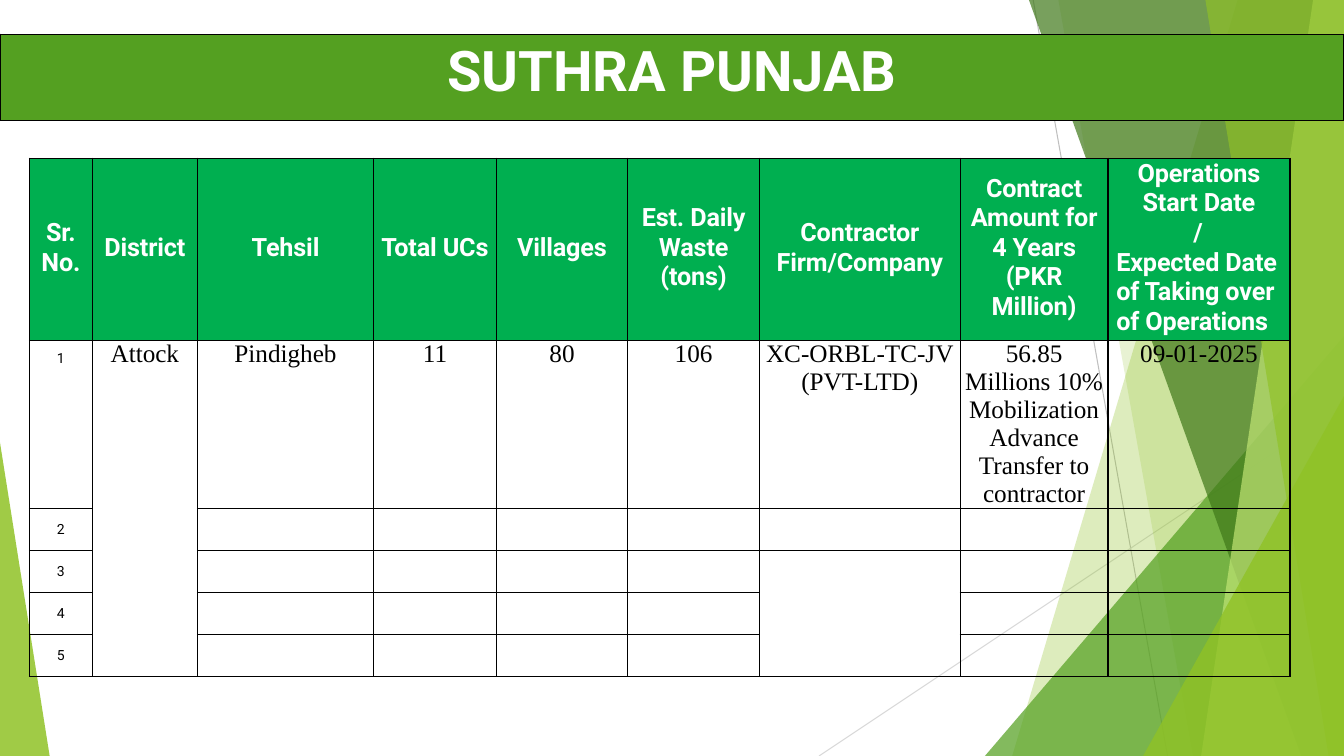
from lxml.etree import SubElement
from pptx import Presentation
from pptx.dml.color import RGBColor
from pptx.enum.shapes import MSO_CONNECTOR, MSO_SHAPE
from pptx.enum.text import MSO_ANCHOR, PP_ALIGN
from pptx.oxml import parse_xml
from pptx.oxml.ns import nsdecls, qn
from pptx.util import Pt

COLORS = {
    "white": "FFFFFF", "black": "000000", "header": "00AF50",
    "band": "54A021", "lime": "90C226", "forest": "3F7819",
    "pale": "C0E474", "line": "BFBFBF", "faint": "D9D9D9",
}
WIDTH, HEIGHT = 960, 540
TITLE = "SUTHRA PUNJAB"
TITLE_TOP, TITLE_HEIGHT = 24.5, 61.5

HEADERS = [
    ["Sr.", "No."], ["District"], ["Tehsil"], ["Total UCs"], ["Villages"],
    ["Est. Daily Waste (tons)"], ["Contractor Firm/Company"],
    ["Contract Amount for 4 Years (PKR", "Million)"],
    ["Operations Start Date", "/ Expected Date of Taking over of Operations"],
]
FIRST_RECORD = [
    ["Attock"], ["Pindigheb"], ["11"], ["80"], ["106"],
    ["XC-ORBL-TC-JV", "(PVT-LTD)"],
    ["56.85 Millions 10% Mobilization Advance Transfer to contractor"],
    ["09-01-2025"],
]
RECORD_COUNT = 5
TABLE_LEFT, TABLE_TOP = 21, 113
COLUMN_WIDTHS = [45, 75, 126, 87.5, 94, 94, 143.5, 105.5, 130]
ROW_HEIGHTS = [130, 120] + [30] * (RECORD_COUNT - 1)
MERGES = [((1, 1), (5, 1)), ((3, 6), (5, 6))]

RAYS = [((738, 0), (834, HEIGHT), "line"), ((WIDTH, 290), (585, HEIGHT), "faint")]
FACETS = [
    ("wedge", (884, 723), "lime", 30),
    ("wedge", (756, 852), "lime", 20),
    ("triangle", (703.5, 240, WIDTH, 1), "band", 72),
    ("wedge", (735, 929.5), "forest", 70),
    ("wedge", (938, 858), "pale", 70),
    ("wedge", (861, 949), "lime", 65),
    ("triangle", (816.5, 283, WIDTH, 1), "lime", 80),
    ("triangle", (0, 316, 35.5, 0), "lime", 85),
]


def color(name):
    return RGBColor.from_string(COLORS[name])


def add_ray(slide, start, end, color_name):
    ray = slide.shapes.add_connector(
        MSO_CONNECTOR.STRAIGHT, *(Pt(value) for value in start + end))
    ray.line.color.rgb = color(color_name)
    ray.line.width = Pt(0.75)
    SubElement(ray.element.spPr, qn("a:effectLst"))


def add_facet(slide, kind, geometry, color_name, opacity):
    if kind == "wedge":
        top_x, bottom_x = geometry
        builder = slide.shapes.build_freeform(Pt(top_x), 0)
        corners = [(WIDTH, 0), (WIDTH, HEIGHT), (bottom_x, HEIGHT)]
        builder.add_line_segments([(Pt(x), Pt(y)) for x, y in corners])
        shape = builder.convert_to_shape()
    else:
        left, top, right, apex = geometry
        shape = slide.shapes.add_shape(
            MSO_SHAPE.ISOSCELES_TRIANGLE, Pt(left), Pt(top),
            Pt(right - left), Pt(HEIGHT - top))
        shape.adjustments[0] = apex
    shape.shadow.inherit = False
    shape.line.fill.background()
    shape.fill.solid()
    shape.fill.fore_color.rgb = color(color_name)
    fill_color = shape.element.spPr.find(qn("a:solidFill"))[0]
    SubElement(fill_color, qn("a:alpha"), val=str(opacity * 1000))


def write(text_frame, lines, font_name, size, color_name, bold=False, spacing=0):
    for index, line in enumerate(lines):
        paragraph = text_frame.paragraphs[0] if index == 0 else text_frame.add_paragraph()
        paragraph.alignment = PP_ALIGN.CENTER
        run = paragraph.add_run()
        run.text = line
        run.font.name = font_name
        run.font.size = Pt(size)
        run.font.bold = bold
        run.font.color.rgb = color(color_name)
        if spacing:
            run._r.get_or_add_rPr().set("spc", str(spacing))


def add_table(slide, left, top, column_widths, row_heights):
    table = slide.shapes.add_table(
        len(row_heights), len(column_widths), Pt(left), Pt(top),
        Pt(sum(column_widths)), Pt(sum(row_heights))).table
    table.first_row = table.horz_banding = False
    for column, width in zip(table.columns, column_widths):
        column.width = Pt(width)
    for row, height in zip(table.rows, row_heights):
        row.height = Pt(height)
    return table


def format_cell(cell, fill_name=None):
    if fill_name:
        cell.fill.solid()
        cell.fill.fore_color.rgb = color(fill_name)
    else:
        cell.fill.background()
    properties = cell._tc.get_or_add_tcPr()
    for position, side in enumerate(("lnL", "lnR", "lnT", "lnB")):
        properties.insert(position, parse_xml(
            f'<a:{side} {nsdecls("a")} w="{Pt(1)}"><a:solidFill>'
            f'<a:srgbClr val="{COLORS["black"]}"/></a:solidFill></a:{side}>'))


def add_contract_table(slide):
    table = add_table(slide, TABLE_LEFT, TABLE_TOP, COLUMN_WIDTHS, ROW_HEIGHTS)
    for row_index, row in enumerate(table.rows):
        is_header = row_index == 0
        for cell in row.cells:
            format_cell(cell, "header" if is_header else None)
            cell.margin_left = cell.margin_right = Pt(3 if is_header else 0)
            cell.margin_top = 0
            cell.margin_bottom = Pt(2 if is_header else 0)
            if is_header:
                cell.vertical_anchor = MSO_ANCHOR.MIDDLE
    for start, end in MERGES:
        table.cell(*start).merge(table.cell(*end))

    for column, lines in enumerate(HEADERS):
        write(table.cell(0, column).text_frame, lines, "Roboto", 18, "white", True, -10)
    takeover = table.cell(0, len(HEADERS) - 1).text_frame.paragraphs[1]
    takeover.alignment = PP_ALIGN.LEFT
    takeover_properties = takeover._p.get_or_add_pPr()
    takeover_properties.set("marL", str(Pt(3)))
    takeover_properties.set("indent", str(Pt(55)))

    for number in range(1, RECORD_COUNT + 1):
        cell = table.cell(number, 0)
        cell.margin_top = Pt(7.2 if number == 1 else 9.3)
        write(cell.text_frame, [str(number)], "Roboto", 10, "black")
    for column, lines in enumerate(FIRST_RECORD, start=1):
        write(table.cell(1, column).text_frame, lines, "Times New Roman", 18, "black")


def add_title_band(slide):
    cell = add_table(slide, 0, TITLE_TOP, [WIDTH], [TITLE_HEIGHT]).cell(0, 0)
    format_cell(cell, "band")
    write(cell.text_frame, [TITLE], "Roboto", 40, "white", True)


def main():
    presentation = Presentation()
    presentation.slide_width, presentation.slide_height = Pt(WIDTH), Pt(HEIGHT)
    slide = presentation.slides.add_slide(presentation.slide_layouts[6])
    for ray in RAYS:
        add_ray(slide, *ray)
    for facet in FACETS:
        add_facet(slide, *facet)
    add_contract_table(slide)
    add_title_band(slide)
    presentation.save("out.pptx")


if __name__ == "__main__":
    main()
